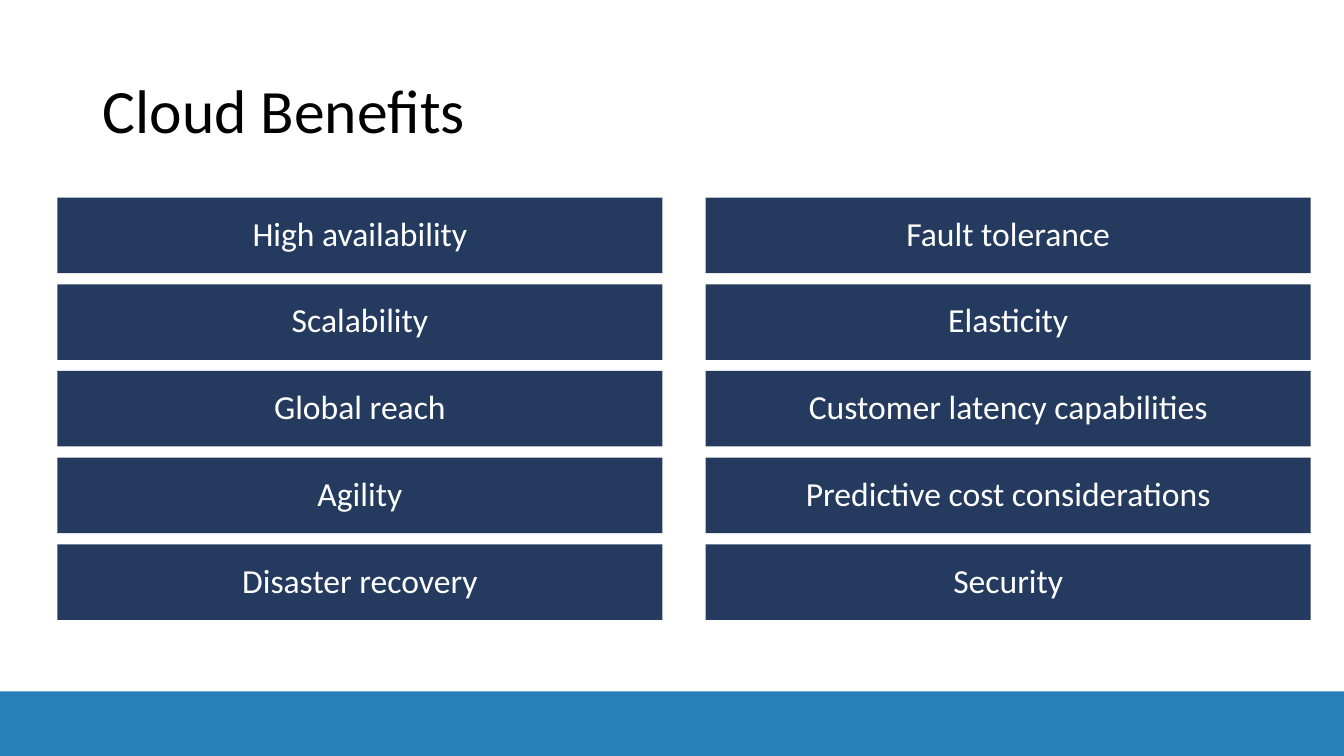
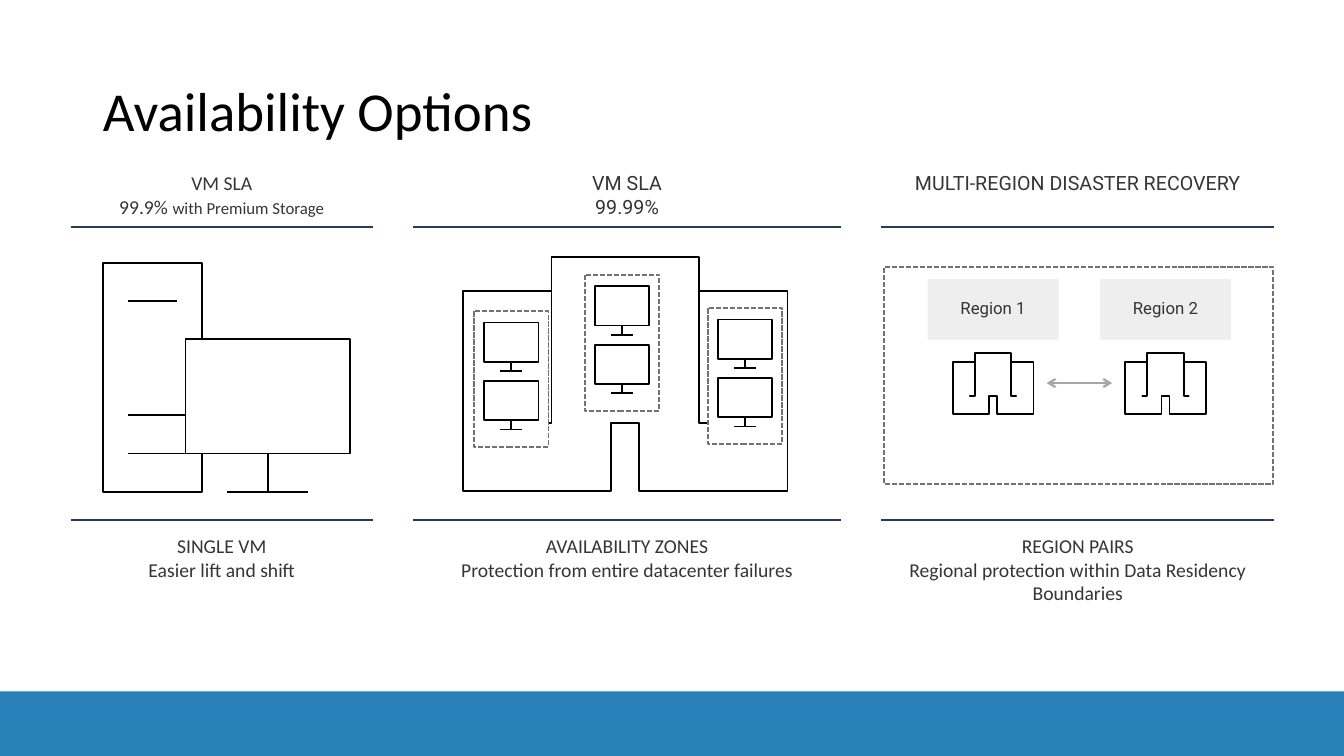
import pptx
import pptx.dml.color
import pptx.enum.dml
import pptx.enum.shapes
import pptx.enum.text
import pptx.oxml
import pptx.oxml.ns
import pptx.util

Inches = pptx.util.Inches
Pt = pptx.util.Pt
ALIGN = pptx.enum.text.PP_ALIGN
ANCHOR = pptx.enum.text.MSO_ANCHOR

SLIDE_WIDTH, SLIDE_HEIGHT = 13.33, 7.5
COLORS = {
    "band": "2980B9", "navy": "243A5E", "black": "000000", "white": "FFFFFF",
    "text": "353535", "dash": "767171", "arrow": "A6A6A6", "region": "EEEEEE",
}
BODY_FONT, ACCENT_FONT = "Calibri", "Roboto"

BENEFITS = [
    ["High availability", "Scalability", "Global reach", "Agility", "Disaster recovery"],
    ["Fault tolerance", "Elasticity", "Customer latency capabilities",
     "Predictive cost considerations", "Security"],
]

# Column width, heading font, heading lines and caption lines; a line is a list of runs.
OPTIONS = [
    (3, BODY_FONT, [["VM SLA"], ["99.9% ", "with Premium Storage"]],
     [["SINGLE VM"], ["Easier lift and shift"]]),
    (4.24, ACCENT_FONT, [["VM SLA"], ["99.99%"]],
     [["AVAILABILITY ZONES"], ["Protection from entire datacenter failures"]]),
    (3.9, ACCENT_FONT, [["MULTI-REGION DISASTER RECOVERY"]],
     [["REGION PAIRS"], ["Regional protection within Data Residency Boundaries"]]),
]
OPTIONS_LEFT, OPTIONS_GAP = 0.7, 0.4

# Strokes are lists of points in hundredths of an inch.
TOWER = [
    [(98, 75), (98, 0), (0, 0), (0, 227), (98, 227), (98, 189)],
    [(25, 38), (74, 38)],
    [(25, 151), (82, 151)],
    [(25, 189), (82, 189)],
]
# Left half of a building's outline, as shares of its width and height.
BUILDING_HALF = [(0.455, 1), (0, 1), (0, 0.147), (0.273, 0.147), (0.273, 0.71),
                 (0.217, 0.71), (0.273, 0.71), (0.273, 0)]


def rgb(name):
    return pptx.dml.color.RGBColor.from_string(COLORS[name])


def style_font(font, name, size, color):
    font.name, font.size = name, Pt(size)
    font.color.rgb = rgb(color)


def style_line(line, color, width=1.25):
    line.color.rgb = rgb(color)
    line.width = Pt(width)


def add_box(slide, left, top, width, height, fill=None, dashed=False):
    shape = slide.shapes.add_shape(
        pptx.enum.shapes.MSO_SHAPE.RECTANGLE,
        Inches(left), Inches(top), Inches(width), Inches(height))
    shape.shadow.inherit = False
    if fill:
        shape.fill.solid()
        shape.fill.fore_color.rgb = rgb(fill)
    else:
        shape.fill.background()
    if dashed:
        style_line(shape.line, "dash")
        shape.line.dash_style = pptx.enum.dml.MSO_LINE.SQUARE_DOT
    else:
        shape.line.fill.background()
    return shape


def add_label(shape, text, font, size, color, inset):
    frame = shape.text_frame
    frame.text = text
    frame.word_wrap = True
    frame.vertical_anchor = ANCHOR.MIDDLE
    frame.margin_left = frame.margin_right = Inches(inset)
    frame.margin_top = frame.margin_bottom = Inches(inset)
    paragraph = frame.paragraphs[0]
    paragraph.alignment = ALIGN.CENTER
    paragraph.line_spacing = 0.9
    style_font(paragraph.runs[0].font, font, size, color)


def add_lines(slide, left, top, width, lines, font):
    """Centred text at 14 pt; any run after the first of a line is 12 pt."""
    box = slide.shapes.add_textbox(
        Inches(left), Inches(top), Inches(width), Inches(0.1 + 0.24 * len(lines)))
    frame = box.text_frame
    frame.word_wrap = True
    for number, runs in enumerate(lines):
        paragraph = frame.add_paragraph() if number else frame.paragraphs[0]
        paragraph.alignment = ALIGN.CENTER
        for position, text in enumerate(runs):
            run = paragraph.add_run()
            run.text = text
            style_font(run.font, font, 12 if position else 14, "text")


def add_rule(slide, left, right, y, color, width=1.25, arrows=False):
    connector = slide.shapes.add_connector(
        pptx.enum.shapes.MSO_CONNECTOR.STRAIGHT,
        Inches(left), Inches(y), Inches(right), Inches(y))
    style_line(connector.line, color, width)
    if arrows:
        line = connector.line._get_or_add_ln()
        for end in ("headEnd", "tailEnd"):
            line.append(pptx.oxml.parse_xml(
                f'<a:{end} {pptx.oxml.ns.nsdecls("a")} type="arrow"/>'))
    connector._element.spPr.append(pptx.oxml.parse_xml(
        f'<a:effectLst {pptx.oxml.ns.nsdecls("a")}/>'))


def add_drawing(slide, left, top, strokes):
    """One unfilled outline; a stroke that ends where it starts is closed."""
    builder = slide.shapes.build_freeform(*strokes[0][0], scale=Inches(0.01))
    for number, points in enumerate(strokes):
        if number:
            builder.move_to(*points[0])
        closed = points[0] == points[-1]
        builder.add_line_segments(points[1:-1] if closed else points[1:], close=closed)
    shape = builder.convert_to_shape(Inches(left), Inches(top))
    shape.shadow.inherit = False
    shape.fill.background()
    style_line(shape.line, "black")


def add_monitor(slide, left, top, width, screen_height, height, foot):
    middle = width / 2
    add_drawing(slide, left, top, [
        [(0, 0), (width, 0), (width, screen_height), (0, screen_height), (0, 0)],
        [(middle, screen_height), (middle, height)],
        [(middle - foot / 2, height), (middle + foot / 2, height)],
    ])


def add_building(slide, left, top, width, height):
    mirrored = [(1 - x, y) for x, y in reversed(BUILDING_HALF)]
    outline = BUILDING_HALF + mirrored + [(0.545, 0.71), (0.455, 0.71), BUILDING_HALF[0]]
    add_drawing(slide, left, top, [[(100 * x * width, 100 * y * height) for x, y in outline]])


def add_zone(slide, center_x, center_y):
    width, height = 0.74, 1.35
    add_box(slide, center_x - width / 2, center_y - height / 2, width, height,
            "white", dashed=True)
    for row in range(2):
        add_monitor(slide, center_x - 0.27, center_y - 0.56 + 0.58 * row, 54, 39, 48, 22)


def add_region(slide, left, name):
    box = add_box(slide, left, 2.77, 1.3, 0.6, "region")
    add_label(box, name, ACCENT_FONT, 12, "text", 0)
    add_building(slide, left + 0.25, 3.5, 0.8, 0.61)


def add_titled_slide(presentation, layout, title, size):
    slide = presentation.slides.add_slide(layout)
    shape = slide.shapes.title
    shape.left, shape.top = Inches(0.92), Inches(0.4)
    shape.width, shape.height = Inches(11.5), Inches(1.45)
    frame = shape.text_frame
    frame.text = title
    frame.auto_size = pptx.enum.text.MSO_AUTO_SIZE.NONE
    frame.vertical_anchor = ANCHOR.MIDDLE
    paragraph = frame.paragraphs[0]
    paragraph.alignment = ALIGN.LEFT
    paragraph.line_spacing = 0.9
    style_font(paragraph.runs[0].font, BODY_FONT, size, "black")
    return slide


def move_band_to_layout(slide, layout):
    """Draw the bottom band once, on the layout that all slides use."""
    band = add_box(slide, 0, 6.86, SLIDE_WIDTH, SLIDE_HEIGHT - 6.86, "band")
    layout.shapes._spTree.append(band._element)


def fill_benefits(slide):
    for column, names in enumerate(BENEFITS):
        for row, name in enumerate(names):
            box = add_box(slide, 0.57 + 6.43 * column, 1.96 + 0.86 * row, 6, 0.75, "navy")
            add_label(box, name, BODY_FONT, 24, "white", 0.1)


def fill_options(slide):
    left = OPTIONS_LEFT
    for width, heading_font, heading, caption in OPTIONS:
        add_lines(slide, left, 1.65, width, heading, heading_font)
        add_lines(slide, left, 5.25, width, caption, BODY_FONT)
        for y in (2.25, 5.16):
            add_rule(slide, left, left + width, y, "navy")
        left += width + OPTIONS_GAP

    add_drawing(slide, 1.02, 2.61, TOWER)
    add_monitor(slide, 1.84, 3.36, 163, 114, 152, 81)

    add_building(slide, 4.59, 2.55, 3.22, 2.32)
    for center in ((5.07, 3.76), (6.17, 3.4), (7.39, 3.73)):
        add_zone(slide, *center)

    add_box(slide, 8.77, 2.65, 3.86, 2.15, dashed=True)
    for number in range(2):
        add_region(slide, 9.2 + 1.71 * number, f"Region {number + 1}")
    add_rule(slide, 10.38, 11.03, 3.8, "arrow", 1.5, arrows=True)


def main():
    presentation = pptx.Presentation()
    presentation.slide_width = Inches(SLIDE_WIDTH)
    presentation.slide_height = Inches(SLIDE_HEIGHT)
    layout = presentation.slide_layouts.get_by_name("Title Only")

    benefits = add_titled_slide(presentation, layout, "Cloud Benefits", 44)
    move_band_to_layout(benefits, layout)
    fill_benefits(benefits)
    fill_options(add_titled_slide(presentation, layout, "Availability Options", 39.2))
    presentation.save("out.pptx")


if __name__ == "__main__":
    main()
